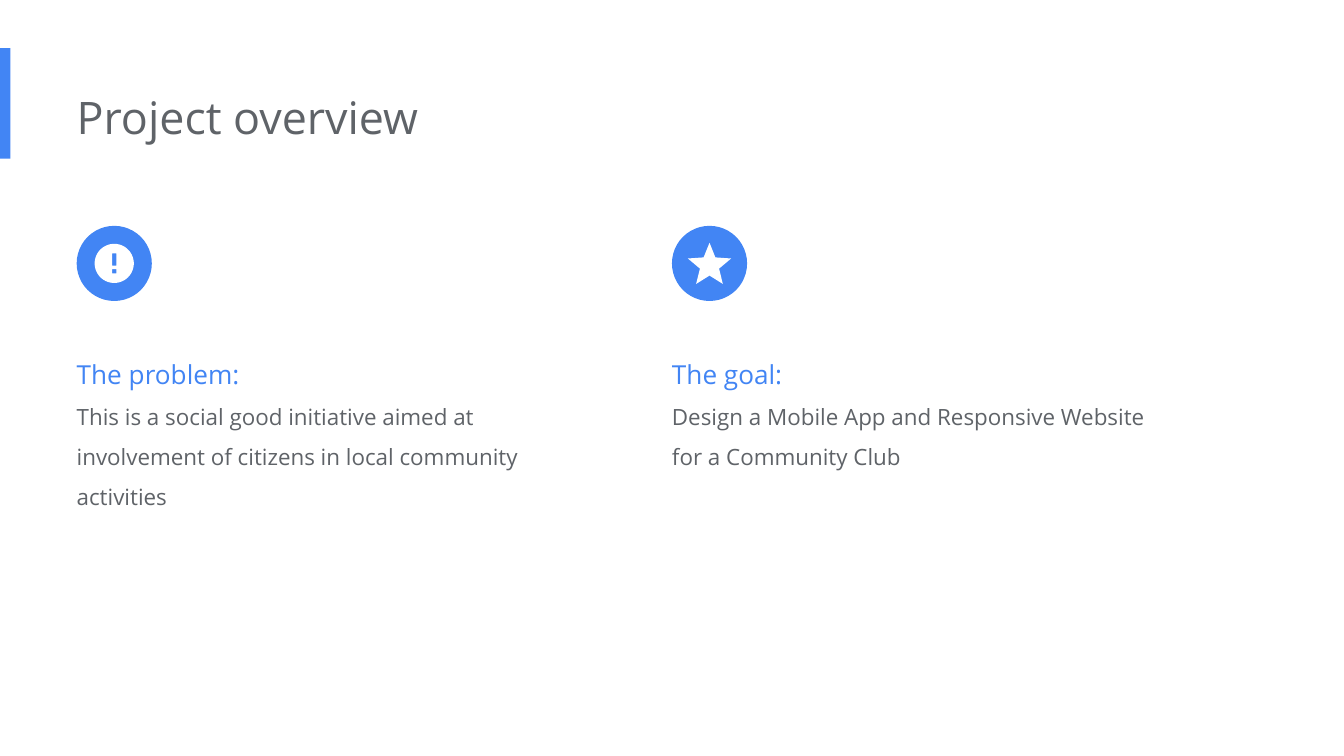
from math import cos, pi, sin

from pptx import Presentation
from pptx.dml.color import RGBColor
from pptx.enum.shapes import MSO_SHAPE as SHAPE
from pptx.enum.text import MSO_AUTO_SIZE as AUTO_SIZE
from pptx.util import Cm, Pt

BLUE = RGBColor(0x42, 0x85, 0xF4)
GREY = RGBColor(0x5F, 0x63, 0x68)
WHITE = RGBColor(0xFF, 0xFF, 0xFF)
FONT = "Open Sans"

LEFT = 1.45
ICON = 1.42
COLUMN_W = 9.58


def paint(sp, color):
    sp.shadow.inherit = False
    sp.fill.solid()
    sp.fill.fore_color.rgb = color
    sp.line.fill.background()


def add_solid(slide, shape, color, x, y, w, h):
    sp = slide.shapes.add_shape(shape, Cm(x), Cm(y), Cm(w), Cm(h))
    paint(sp, color)


def add_outline(slide, contours, cx, cy):
    """Draw one white freeform; contour points are offsets from (cx, cy)."""
    contours = [[(Cm(cx + x), Cm(cy + y)) for x, y in c] for c in contours]
    builder = slide.shapes.build_freeform(*contours[0][0])
    builder.add_line_segments(contours[0][1:])
    for contour in contours[1:]:
        builder.move_to(*contour[0])
        builder.add_line_segments(contour[1:])
    paint(builder.convert_to_shape(), WHITE)


def radial_points(radii, count):
    """Points clockwise from the top, taking the radii in turn."""
    points = []
    for i in range(count):
        radius, angle = radii[i % len(radii)], 2 * pi * i / count
        points.append((radius * sin(angle), -radius * cos(angle)))
    return points


def bar(top, bottom, half=0.04):
    return [(-half, top), (-half, bottom), (half, bottom), (half, top)]


def add_exclamation(slide, cx, cy):
    disc = radial_points([0.37], 96)
    add_outline(slide, [disc, bar(-0.19, 0.04), bar(0.11, 0.19)], cx, cy)


def add_star(slide, cx, cy):
    add_outline(slide, [radial_points([0.43, 0.19], 10)], cx, cy + 0.04)


def add_text(slide, lines, x, y, w, h, spacing=None):
    """Lines are (text, size, color), one paragraph each."""
    tf = slide.shapes.add_textbox(Cm(x), Cm(y), Cm(w), Cm(h)).text_frame
    tf.word_wrap = True
    tf.auto_size = AUTO_SIZE.SHAPE_TO_FIT_TEXT
    tf.margin_left = 0
    tf.margin_right = tf.margin_top = tf.margin_bottom = Cm(0.25)
    for i, (text, size, color) in enumerate(lines):
        p = tf.add_paragraph() if i else tf.paragraphs[0]
        p.text = text
        p.line_spacing = spacing
        font = p.runs[0].font
        font.name, font.size, font.color.rgb = FONT, Pt(size), color


def add_header(slide, title, x, y, w, h):
    add_solid(slide, SHAPE.RECTANGLE, BLUE, x, y, 0.2, h)
    add_text(slide, [(title, 24, GREY)], LEFT, y + 0.54, w - LEFT, h - 0.54)


def add_column(slide, add_symbol, heading, body, x, y, w, h):
    add_solid(slide, SHAPE.OVAL, BLUE, x, y, ICON, ICON)
    add_symbol(slide, x + ICON / 2, y + ICON / 2)
    lines = [(heading, 14, BLUE), (body, 12, GREY)]
    add_text(slide, lines, x, y + 1.95, w, h - 1.95, spacing=1.5)


def main():
    prs = Presentation()
    prs.slide_width, prs.slide_height = Cm(25.4), Cm(14.29)
    slide = prs.slides.add_slide(prs.slide_layouts[6])

    add_header(slide, "Project overview", 0, 0.91, 18.54, 2.09)
    add_column(slide, add_exclamation, "The problem:",
               "This is a social good initiative aimed at involvement of "
               "citizens in local community activities",
               LEFT, 4.27, COLUMN_W, 5.66)
    add_column(slide, add_star, "The goal:",
               "Design a Mobile App and Responsive Website for a "
               "Community Club",
               12.7, 4.27, COLUMN_W, 4.9)

    prs.save("out.pptx")


if __name__ == "__main__":
    main()
